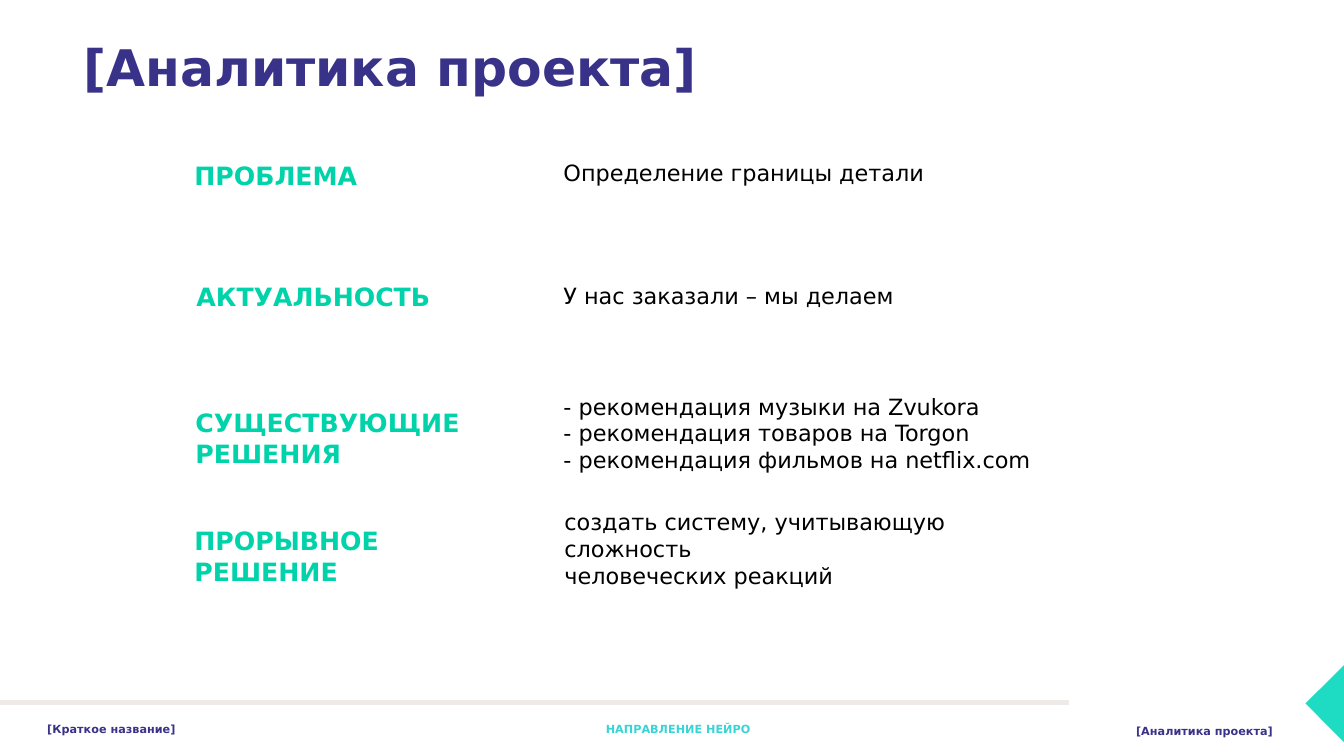
from lxml import etree
from pptx import Presentation
from pptx.dml.color import RGBColor
from pptx.enum import shapes, text
from pptx.oxml.ns import qn
from pptx.util import Inches, Pt

FONT = "DejaVu Sans"
INDIGO, GREEN, AQUA, TEAL = "383288", "00D3AA", "38D4D6", "1EDCC3"
GREY, BLACK = "EDEAE8", "000000"
TOP, MIDDLE = text.MSO_ANCHOR.TOP, text.MSO_ANCHOR.MIDDLE

FORMATS = {
    "title": {"size": Pt(36), "bold": True},
    "heading": {"size": Pt(18), "bold": True},
    "answer": {"size": Pt(16), "bold": False},
    "footer": {"size": Pt(8), "bold": True},
}

TITLE = "[Аналитика проекта]"

# heading lines, heading box, answer lines, answer box, answer anchor, answer wraps
ROWS = [
    (["ПРОБЛЕМА"], (1.83, 1.54, 1.83, 0.4),
     ["Определение границы детали"], (5.49, 1.53, 6.67, 0.37), TOP, True),
    (["АКТУАЛЬНОСТЬ"], (1.85, 2.74, 2.52, 0.4),
     ["У нас заказали – мы делаем"], (5.49, 2.75, 3.5, 0.37), MIDDLE, False),
    (["СУЩЕСТВУЮЩИЕ", "РЕШЕНИЯ"], (1.84, 3.99, 2.84, 0.71),
     ["- рекомендация музыки на Zvukora",
      "- рекомендация товаров на Torgon",
      "- рекомендация фильмов на netflix.com"],
     (5.49, 3.84, 4.85, 0.91), MIDDLE, False),
    (["ПРОРЫВНОЕ", "РЕШЕНИЕ"], (1.83, 5.16, 2.06, 0.71),
     ["создать систему, учитывающую сложность", "человеческих реакций"],
     (5.5, 5.12, 5.2, 0.64), MIDDLE, True),
]

FOOTERS = [
    ("[Краткое название]", (0.37, 7.12, 1.98, 0.24), INDIGO),
    ("НАПРАВЛЕНИЕ НЕЙРО", (5.91, 7.12, 1.71, 0.24), AQUA),
    (TITLE, (11.17, 7.14, 1.6, 0.24), INDIGO),
]


def rgb(value):
    return RGBColor.from_string(value)


def add_lines(slide, lines, box, style, color, anchor=TOP, wrap=True):
    """Add a text box with one paragraph per line."""
    frame = slide.shapes.add_textbox(*map(Inches, box)).text_frame
    frame.word_wrap = wrap
    frame.vertical_anchor = anchor
    frame.text = "\n".join(lines)
    for paragraph in frame.paragraphs:
        paragraph.alignment = text.PP_ALIGN.LEFT
        for run in paragraph.runs:
            run.font.name = FONT
            run.font.color.rgb = rgb(color)
            for attribute, value in FORMATS[style].items():
                setattr(run.font, attribute, value)


def add_footer_decor(slide):
    corner = slide.shapes.add_shape(
        shapes.MSO_SHAPE.RIGHT_TRIANGLE, *map(Inches, (13.06, 6.71, 0.54, 0.54)))
    corner.rotation = 45.2
    corner.shadow.inherit = False
    corner.fill.solid()
    corner.fill.fore_color.rgb = rgb(TEAL)
    corner.line.fill.background()

    rule = slide.shapes.add_connector(
        shapes.MSO_CONNECTOR.STRAIGHT, *map(Inches, (-0.01, 6.97, 10.6, 6.97)))
    rule.line.color.rgb = rgb(GREY)
    rule.line.width = Pt(3)
    etree.SubElement(rule._element.spPr, qn("a:effectLst"))


def main():
    deck = Presentation()
    deck.slide_width, deck.slide_height = Inches(13.33), Inches(7.5)
    slide = deck.slides.add_slide(deck.slide_layouts[6])

    add_lines(slide, [TITLE], (0.73, 0.31, 11.78, 0.71), "title", INDIGO)
    add_footer_decor(slide)
    for footer, box, color in FOOTERS:
        add_lines(slide, [footer], box, "footer", color)
    for heading, heading_box, answer, answer_box, anchor, wrap in ROWS:
        add_lines(slide, heading, heading_box, "heading", GREEN, MIDDLE, False)
        add_lines(slide, answer, answer_box, "answer", BLACK, anchor, wrap)

    deck.save("out.pptx")


if __name__ == "__main__":
    main()
